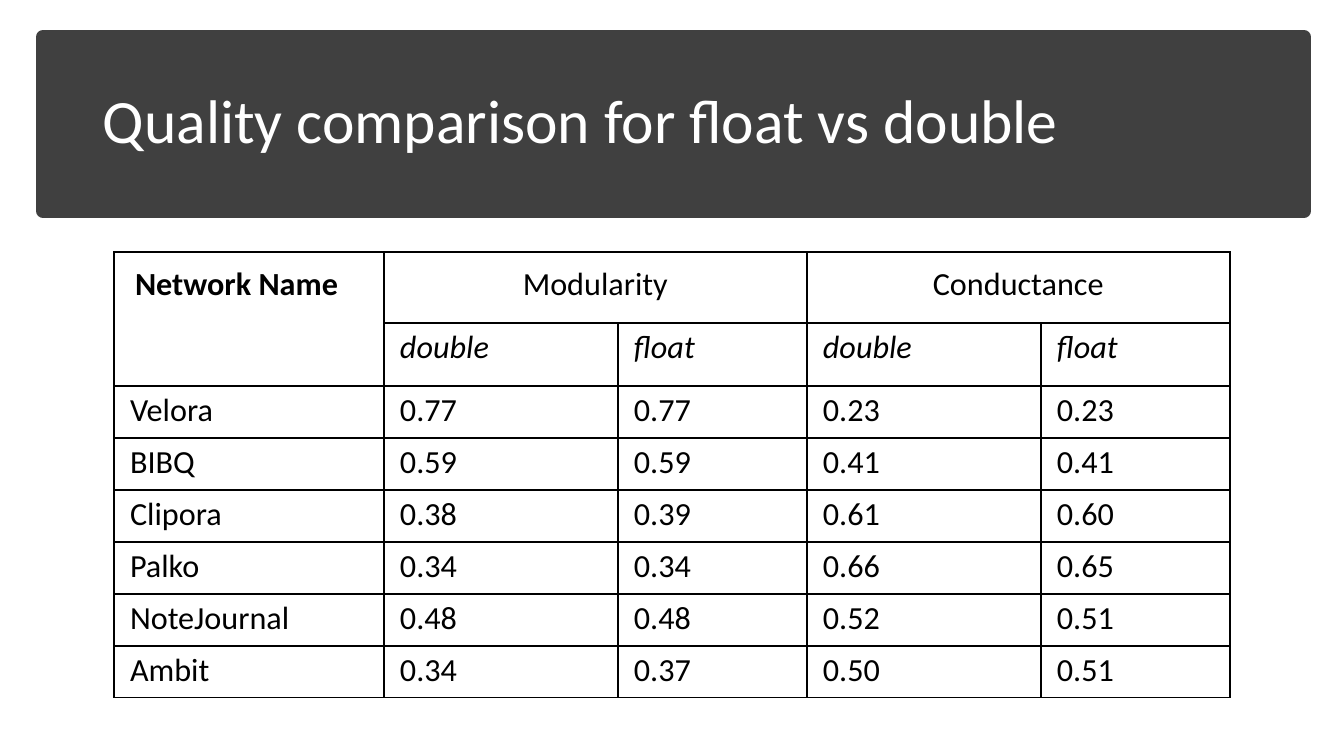
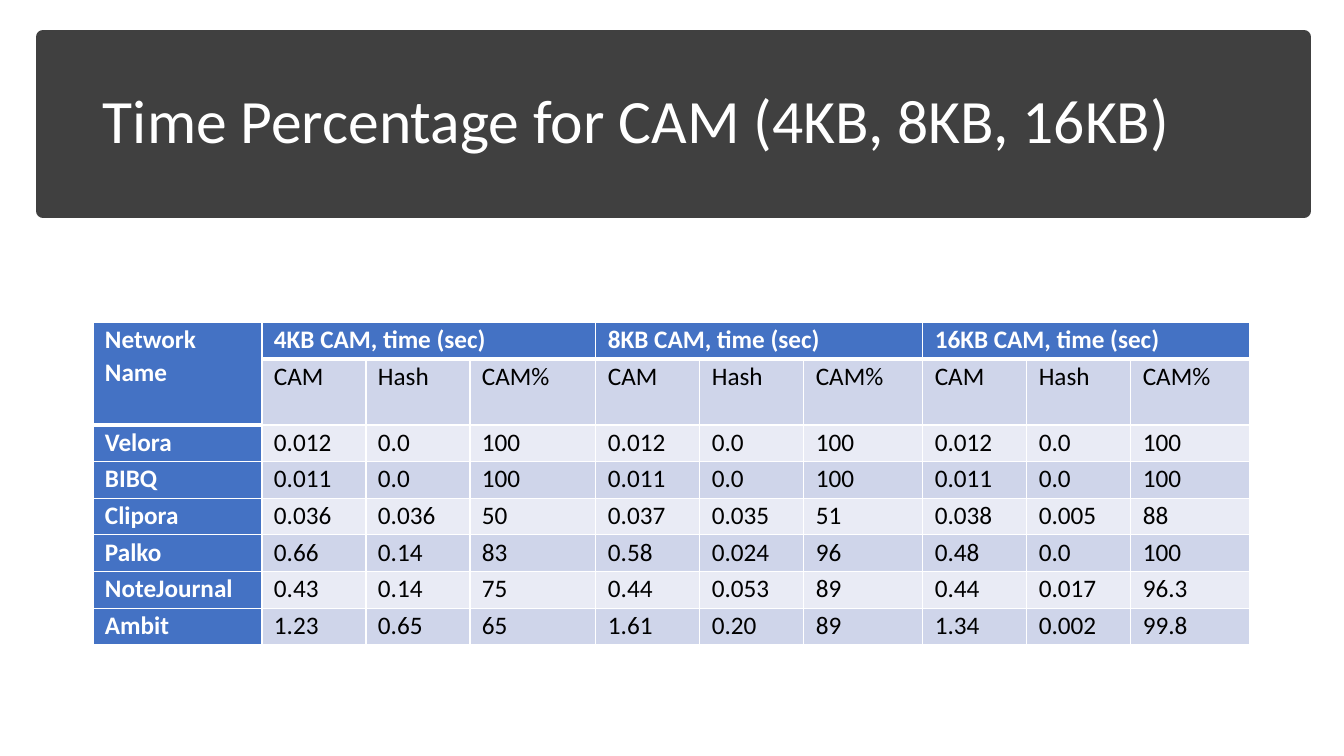
import dataclasses

import lxml.etree
import pptx
import pptx.dml.color
import pptx.enum.shapes
import pptx.enum.text
import pptx.oxml.ns
import pptx.util

EMU_PER_PIXEL = 914400 / 100.8
LEFT = pptx.enum.text.PP_ALIGN.LEFT
CENTER = pptx.enum.text.PP_ALIGN.CENTER


@dataclasses.dataclass(frozen=True)
class Theme:
    """Colours, font and type sizes shared by the slides."""
    font: str = "Calibri"
    black: str = "000000"
    white: str = "FFFFFF"
    band: str = "404040"
    header: str = "4472C4"
    dark_row: str = "CFD5EA"
    light_row: str = "E9EBF5"
    title_size: int = 44
    quality_size: int = 23
    time_size: int = 18
    title_spacing: float = 0.9
    cell_spacing: float = 1.07
    band_line: int = 10
    thin_line: int = 1
    thick_line: int = 3


THEME = Theme()
BAND_BOX = (43, 37, 1261, 174)
TITLE_BOX = (93, 51, 1159, 146)
NETWORKS = ("Velora", "BIBQ", "Clipora", "Palko", "NoteJournal", "Ambit")

QUALITY_VALUES = (
    ("0.77", "0.77", "0.23", "0.23"),
    ("0.59", "0.59", "0.41", "0.41"),
    ("0.38", "0.39", "0.61", "0.60"),
    ("0.34", "0.34", "0.66", "0.65"),
    ("0.48", "0.48", "0.52", "0.51"),
    ("0.34", "0.37", "0.50", "0.51"),
)
TIME_VALUES = (
    ("0.012", "0.0", "100", "0.012", "0.0", "100", "0.012", "0.0", "100"),
    ("0.011", "0.0", "100", "0.011", "0.0", "100", "0.011", "0.0", "100"),
    ("0.036", "0.036", "50", "0.037", "0.035", "51", "0.038", "0.005", "88"),
    ("0.66", "0.14", "83", "0.58", "0.024", "96", "0.48", "0.0", "100"),
    ("0.43", "0.14", "75", "0.44", "0.053", "89", "0.44", "0.017", "96.3"),
    ("1.23", "0.65", "65", "1.61", "0.20", "89", "1.34", "0.002", "99.8"),
)


def px(length):
    """Turn picture pixels into EMU."""
    return pptx.util.Emu(round(length * EMU_PER_PIXEL))


def rgb(color):
    """Turn a hexadecimal string into a colour."""
    return pptx.dml.color.RGBColor.from_string(color)


def write_text(frame, text, *, size, color, spacing, bold=False, italic=False, align=LEFT):
    """Write one formatted paragraph into a text frame."""
    frame.word_wrap = True
    paragraph = frame.paragraphs[0]
    paragraph.alignment = align
    paragraph.line_spacing = spacing
    run = paragraph.add_run()
    run.text = text
    run.font.name = THEME.font
    run.font.size = pptx.util.Pt(size)
    run.font.color.rgb = rgb(color)
    run.font.bold = bold
    run.font.italic = italic


def add_title_band(slide, text, band_box=BAND_BOX, title_box=TITLE_BOX):
    """Add the dark band and the slide title on it."""
    band = slide.shapes.add_shape(
        pptx.enum.shapes.MSO_SHAPE.RECTANGLE, *map(px, band_box))
    band.shadow.inherit = False
    band.fill.solid()
    band.fill.fore_color.rgb = rgb(THEME.band)
    band.line.color.rgb = rgb(THEME.band)
    band.line.width = pptx.util.Pt(THEME.band_line)
    title = slide.shapes.add_textbox(*map(px, title_box))
    title.text_frame.vertical_anchor = pptx.enum.text.MSO_ANCHOR.MIDDLE
    write_text(title.text_frame, text, size=THEME.title_size,
               color=THEME.white, spacing=THEME.title_spacing)


def set_borders(cell, color, **widths):
    """Draw the sides L, R, T and B of a cell with widths in points."""
    properties = cell._tc.get_or_add_tcPr()
    for side, width in widths.items():
        line = lxml.etree.SubElement(
            properties, pptx.oxml.ns.qn(f"a:ln{side}"), w=str(pptx.util.Pt(width)))
        fill = lxml.etree.SubElement(line, pptx.oxml.ns.qn("a:solidFill"))
        lxml.etree.SubElement(fill, pptx.oxml.ns.qn("a:srgbClr"), val=color)


def add_grid(slide, left, top, widths, heights, border, thick_below=()):
    """Add an unstyled table; cells in thick_below get a thick lower edge."""
    table = slide.shapes.add_table(
        len(heights), len(widths), px(left), px(top),
        px(sum(widths)), px(sum(heights))).table
    table.first_row = table.horz_banding = False
    for column, width in zip(table.columns, widths):
        column.width = px(width)
    for row, height in zip(table.rows, heights):
        row.height = px(height)

    def edge(position):
        return THEME.thick_line if position in thick_below else THEME.thin_line

    for row in range(len(heights)):
        for column in range(len(widths)):
            cell = table.cell(row, column)
            set_borders(cell, border, L=THEME.thin_line, R=THEME.thin_line,
                        T=edge((row - 1, column)), B=edge((row, column)))
            cell.fill.background()
    return table


def merge_headers(table, group_width):
    """Merge the name header downwards and each group header across."""
    table.cell(0, 0).merge(table.cell(1, 0))
    for column in range(1, len(table.columns), group_width):
        table.cell(0, column).merge(table.cell(0, column + group_width - 1))


def fill_cell(cell, text, margins, fill=None, **text_format):
    """Set the insets (horizontal, top, bottom), fill and text of a cell."""
    side, top, bottom = map(px, margins)
    cell.margin_left = cell.margin_right = side
    cell.margin_top, cell.margin_bottom = top, bottom
    if fill:
        cell.fill.solid()
        cell.fill.fore_color.rgb = rgb(fill)
    write_text(cell.text_frame, text, spacing=THEME.cell_spacing, **text_format)


def table_rows(groups, measures, values):
    """Return all table rows, with None where a header is merged away."""
    header = ["Network Name"]
    for group in groups:
        header += [group] + [None] * (len(measures) - 1)
    subheader = [None, *measures * len(groups)]
    return [header, subheader, *([name, *row] for name, row in zip(NETWORKS, values))]


def filled_cells(rows):
    """Yield row, column and text of every cell that holds text."""
    for row, texts in enumerate(rows):
        for column, text in enumerate(texts):
            if text is not None:
                yield row, column, text


def add_quality_table(slide, left, top):
    """Add the outlined table of modularity and conductance."""
    measures = ("double", "float")
    rows = table_rows(("Modularity", "Conductance"), measures, QUALITY_VALUES)
    table = add_grid(slide, left, top, [270] + [234, 189] * 2,
                     [71, 63] + [52] * len(NETWORKS), THEME.black)
    merge_headers(table, len(measures))
    for row, column, text in filled_cells(rows):
        fill_cell(table.cell(row, column), text,
                  (21, 10, 10) if row == 0 else (16, 2, 0),
                  size=THEME.quality_size, color=THEME.black,
                  bold=row == column == 0, italic=row == 1,
                  align=CENTER if row == 0 and column else LEFT)


def add_time_table(slide, left, top):
    """Add the banded table of times for each CAM size."""
    measures = ("CAM", "Hash", "CAM%")
    groups = [f"{size}KB CAM, time (sec)" for size in (4, 8, 16)]
    rows = table_rows(groups, measures, TIME_VALUES)
    widths = [169, 104, 104, 126] + [104, 104, 119] * 2
    heights = [37, 66] + [220 / len(NETWORKS)] * len(NETWORKS)
    thick_below = {(0, column) for column in range(len(widths))} | {(1, 0)}
    table = add_grid(slide, left, top, widths, heights, THEME.white, thick_below)
    merge_headers(table, len(measures))
    for row, column, text in filled_cells(rows):
        is_header = row == 0 or column == 0
        band = THEME.dark_row if row % 2 else THEME.light_row
        fill_cell(table.cell(row, column), text, (12, 0, 0),
                  fill=THEME.header if is_header else band,
                  size=THEME.time_size, bold=is_header,
                  color=THEME.white if is_header else THEME.black)


def add_slide(presentation, title):
    """Add a blank slide with the shared title band."""
    slide = presentation.slides.add_slide(presentation.slide_layouts[6])
    add_title_band(slide, title)
    return slide


def main():
    """Build and save the presentation."""
    presentation = pptx.Presentation()
    presentation.slide_width = px(1344)
    presentation.slide_height = px(756)
    quality_slide = add_slide(presentation, "Quality comparison for float vs double")
    add_quality_table(quality_slide, 114, 252)
    time_slide = add_slide(presentation, "Time Percentage for CAM (4KB, 8KB, 16KB)")
    add_time_table(time_slide, 93, 322)
    presentation.save("out.pptx")


main()
